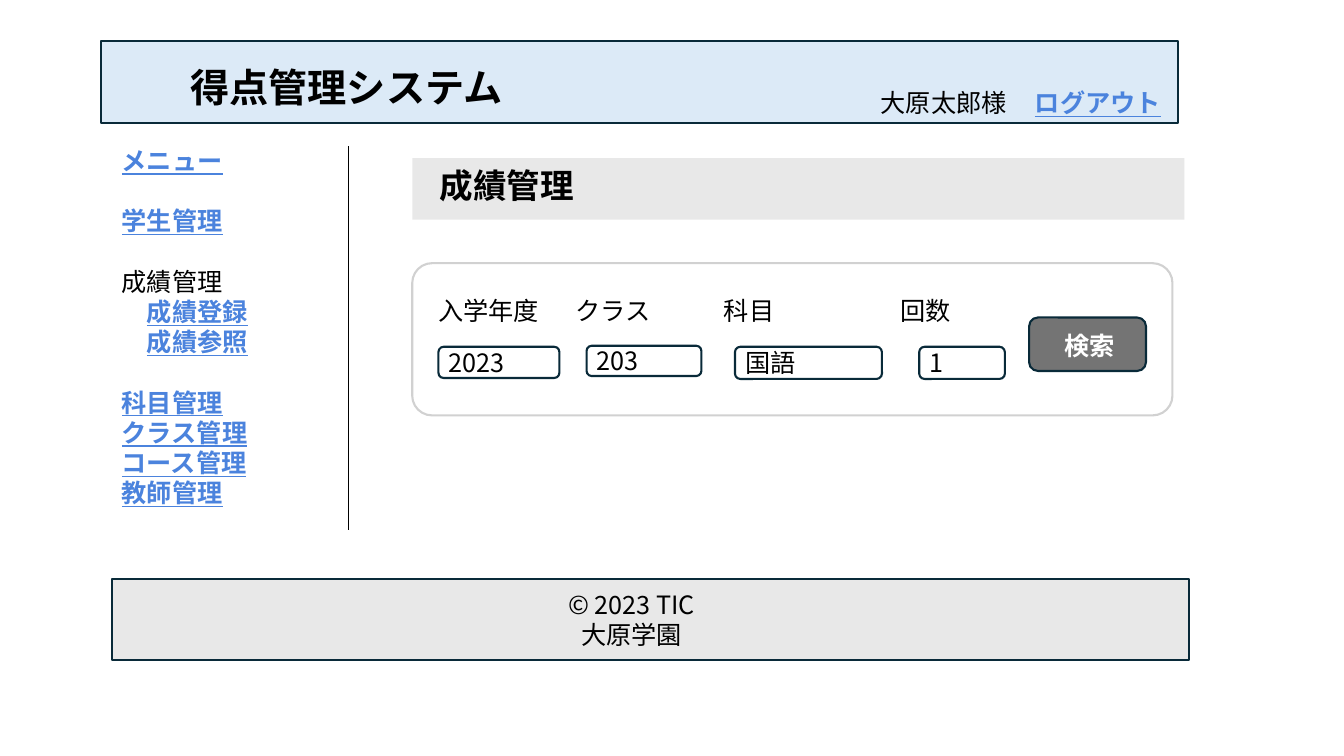
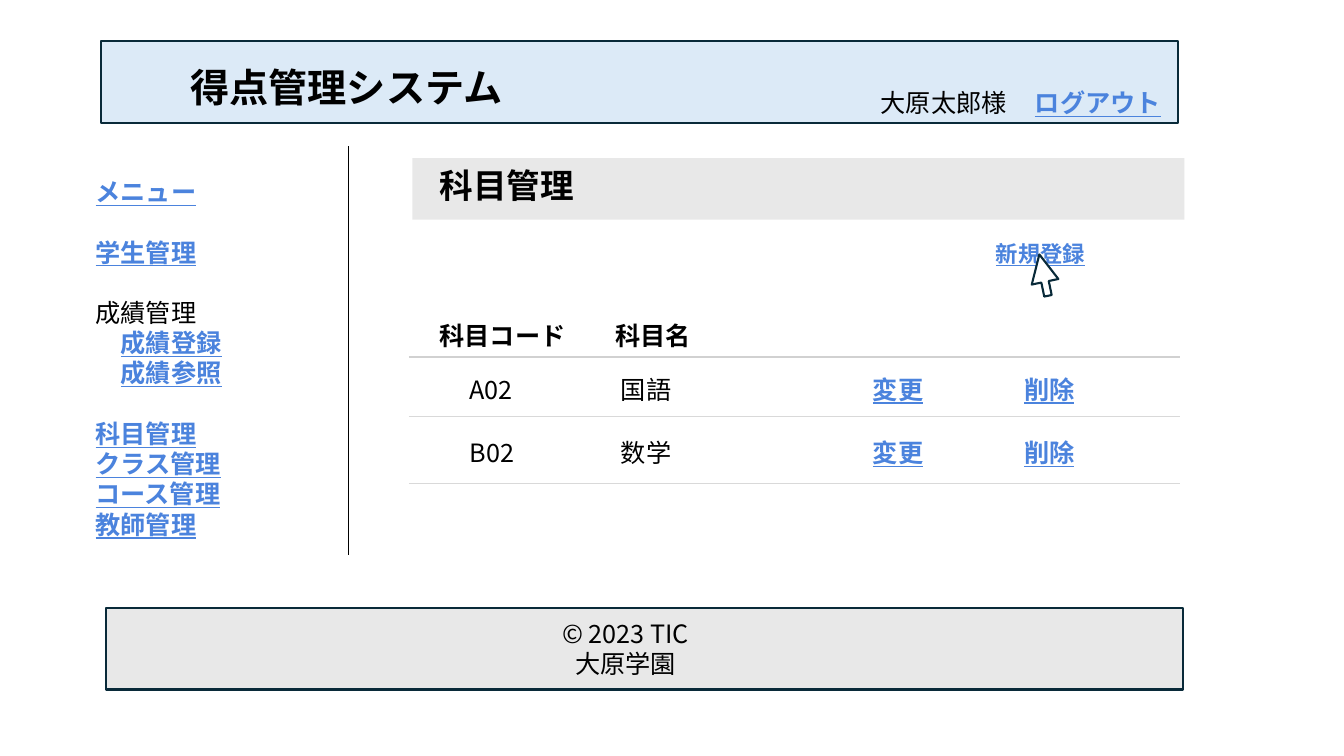
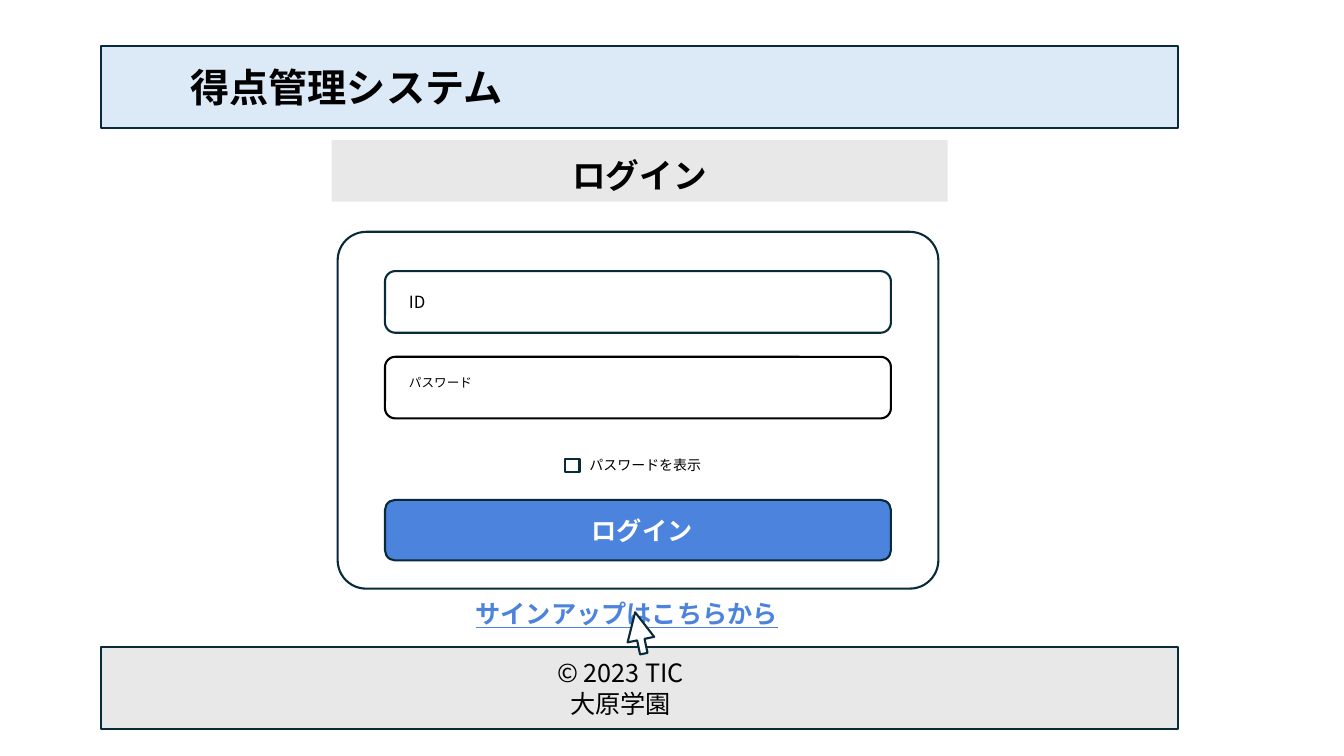
from lxml import etree
from pptx import Presentation
from pptx.dml.color import RGBColor
from pptx.enum.shapes import MSO_CONNECTOR, MSO_SHAPE
from pptx.enum.text import MSO_ANCHOR, MSO_AUTO_SIZE, PP_ALIGN
from pptx.oxml.ns import qn
from pptx.util import Pt

RECT, ROUND, CURSOR = MSO_SHAPE.RECTANGLE, MSO_SHAPE.ROUNDED_RECTANGLE, MSO_SHAPE.UP_ARROW
LEFT, CENTER = PP_ALIGN.LEFT, PP_ALIGN.CENTER
TOP, MIDDLE = MSO_ANCHOR.TOP, MSO_ANCHOR.MIDDLE
FONT = "Noto Sans CJK JP"
BLACK, WHITE, NAVY, BLUE = "000000", "FFFFFF", "092A39", "4B83DD"
SKY, SILVER, GRAY, FRAME, RULE = "DCEAF7", "E8E8E8", "747474", "D1D1D1", "D9D9D9"
NO_STYLE = "{2D5ABB26-0587-4C30-8999-92F81FD0307C}"
LINK = {"color": BLUE, "bold": True, "underline": True}

SYSTEM = "得点管理システム"
USER, LOGOUT = "大原太郎様", "ログアウト"
COPYRIGHT = "© 2023 TIC\n大原学園"
MENU = [["メニュー"], ["学生管理"], ["成績管理", "成績登録", "成績参照"],
        ["科目管理", "クラス管理", "コース管理", "教師管理"]]
MENU_HEADING, SUBMENU = "成績管理", ("成績登録", "成績参照")
LINE_HEIGHT = 21.6

SEARCH_FIELDS = [
    ("入学年度", 306, "2023", (313.2, 247.7, 86.4, 22.3)),
    ("クラス", 404, "203", (419, 247, 82, 21.6)),
    ("科目", 510, "国語", (525, 247.7, 105, 23)),
    ("回数", 636, "1", (656.6, 247.7, 61.2, 23)),
]
SUBJECT_COLUMNS = [("科目コード", 140, 22, 43.5), ("科目名", 184, 7.5, 11.5),
                   ("", 108, 7.5, 7.5), ("", 119, 7.5, 7.5)]
SUBJECTS = [("A02", "国語", "変更", "削除"), ("B02", "数学", "変更", "削除")]
SUBJECT_HEIGHTS = [32, 42.5, 48.1]
LOGIN_FIELDS = [("ID", 193.7, 12, NAVY, 0), ("パスワード", 254.9, 9, BLACK, 7.2)]


def rgb(value):
    return RGBColor.from_string(value)


def style(paragraph, size=18, color=BLACK, bold=False, underline=False):
    for run in paragraph.runs:
        font = run.font
        font.size, font.bold, font.underline = Pt(size), bold, underline
        font.color.rgb = rgb(color)
        font.name = FONT
        etree.SubElement(run._r.get_or_add_rPr(), qn("a:ea"), typeface=FONT)


def write(frame, text, align=LEFT, anchor=MIDDLE, margins=(7.2, 0, 7.2, 0), **look):
    frame.word_wrap = True
    frame.auto_size = MSO_AUTO_SIZE.NONE
    frame.vertical_anchor = anchor
    (frame.margin_left, frame.margin_top,
     frame.margin_right, frame.margin_bottom) = map(Pt, margins)
    frame.text = text
    for paragraph in frame.paragraphs:
        paragraph.alignment = align
        paragraph.line_spacing = 1.0
        style(paragraph, **look)


def label(slide, text, left, top, width, height=28.8, **look):
    box = slide.shapes.add_textbox(Pt(left), Pt(top), Pt(width), Pt(height))
    write(box.text_frame, text, **look)
    return box.text_frame


def block(slide, kind, box, text="", fill=None, line=NAVY, adjust=(), **look):
    shape = slide.shapes.add_shape(kind, *map(Pt, box))
    shape.shadow.inherit = False
    if fill:
        shape.fill.solid()
        shape.fill.fore_color.rgb = rgb(fill)
    else:
        shape.fill.background()
    shape.line.color.rgb = rgb(line)
    shape.line.width = Pt(1.5)
    for index, value in enumerate(adjust):
        shape.adjustments[index] = value
    if text:
        write(shape.text_frame, text, **look)
    return shape


def cursor(slide, left, top):
    arrow = block(slide, CURSOR, (left, top, 19.4, 30.2), fill=WHITE, adjust=(0.28, 1.03))
    arrow.rotation = 348.2


def heading(slide, text, box=(294.5, 113, 551.5, 44), align=LEFT, margins=(19.4, 5, 7.2, 0)):
    title = slide.shapes.title
    title.left, title.top, title.width, title.height = map(Pt, box)
    title.fill.solid()
    title.fill.fore_color.rgb = rgb(SILVER)
    write(title.text_frame, text, align, TOP, margins, size=24, bold=True)


def header_and_footer(slide, header_top, footer_left, footer_top):
    block(slide, RECT, (72, header_top, 769.7, 58.3), SYSTEM, SKY, size=28, bold=True,
          margins=(64, 2 * (33.1 - header_top), 7.2, 0))
    block(slide, RECT, (footer_left, footer_top, 769.7, 58.3), COPYRIGHT, SILVER,
          align=CENTER, margins=(0, 0, 27, 0))


def menu(slide, left, top, divider_bottom):
    label(slide, USER, 622, 59, 104.4)
    label(slide, LOGOUT, 732.2, 59, 104.4, **LINK)
    divider = slide.shapes.add_connector(
        MSO_CONNECTOR.STRAIGHT, Pt(249.1), Pt(104.4), Pt(249.1), Pt(divider_bottom))
    divider.line.color.rgb = rgb(BLACK)
    divider.line.width = Pt(1)
    etree.SubElement(divider._element.spPr, qn("a:effectLst"))

    items = [item for group in MENU for item in group]
    openers = [group[0] for group in MENU[1:]]
    frame = label(slide, "\n".join(items), left, top, 144, 270,
                  anchor=TOP, margins=(7.2, 3.6, 7.2, 3.6), **LINK)
    for item, paragraph in zip(items, frame.paragraphs):
        if item in openers:
            paragraph.space_before = Pt(LINE_HEIGHT)
        if item in SUBMENU:
            paragraph._p.get_or_add_pPr().set("marL", str(Pt(18)))
        if item == MENU_HEADING:
            for run in paragraph.runs:
                run.font.bold = run.font.underline = False
                run.font.color.rgb = rgb(BLACK)


def underline_cell(cell, color):
    border = etree.Element(qn("a:lnB"), w=str(Pt(1)))
    fill = etree.SubElement(border, qn("a:solidFill"))
    etree.SubElement(fill, qn("a:srgbClr"), val=color)
    cell._tc.get_or_add_tcPr().insert(0, border)


def subject_table(slide):
    rows = [[column[0] for column in SUBJECT_COLUMNS]] + SUBJECTS
    widths = [column[1] for column in SUBJECT_COLUMNS]
    table = slide.shapes.add_table(
        len(rows), len(widths), Pt(292), Pt(223), Pt(sum(widths)),
        Pt(sum(SUBJECT_HEIGHTS))).table
    table._tbl.tblPr.find(qn("a:tableStyleId")).text = NO_STYLE
    table.horz_banding = False
    for column, width in zip(table.columns, widths):
        column.width = Pt(width)
    for r, values in enumerate(rows):
        table.rows[r].height = Pt(SUBJECT_HEIGHTS[r])
        for c, value in enumerate(values):
            cell = table.cell(r, c)
            cell.text = value
            cell.vertical_anchor = MIDDLE
            cell.margin_left = Pt(SUBJECT_COLUMNS[c][3 if r else 2])
            cell.margin_top = Pt(2 if r else 0)
            cell.margin_right = cell.margin_bottom = 0
            cell.fill.background()
            underline_cell(cell, RULE if r else FRAME)
            look = LINK if r and c > 1 else {"bold": r == 0}
            style(cell.text_frame.paragraphs[0], **look)


def grade_search(slide):
    heading(slide, "成績管理")
    header_and_footer(slide, 29.5, 79.9, 413.3)
    menu(slide, 79.9, 100, 378.7)
    block(slide, ROUND, (294.5, 188, 543, 108.7), line=FRAME, adjust=(0.13,))
    for name, left, value, box in SEARCH_FIELDS:
        label(slide, name, left, 207.4, 90)
        block(slide, ROUND, box, value, margins=(6.2, 0, 0, 0))
    block(slide, ROUND, (735.1, 226.8, 83.5, 38.2), "検索", GRAY, align=CENTER,
          color=WHITE, bold=True, margins=(2.5, 2, 0, 0))


def subject_list(slide):
    heading(slide, "科目管理")
    header_and_footer(slide, 29.5, 75.6, 434.2)
    menu(slide, 61.2, 122.4, 396.7)
    label(slide, "新規登録", 704.2, 167.8, 108, 26.6, size=16, **LINK)
    subject_table(slide)
    cursor(slide, 735.8, 181.4)


def login(slide):
    heading(slide, "ログイン", (236.9, 100.1, 440, 44), CENTER, (0, 10.8, 0, 0))
    header_and_footer(slide, 33.1, 72, 462.2)
    block(slide, ROUND, (241.2, 165.6, 429.1, 254.9), fill=WHITE, adjust=(0.08,))
    for name, top, size, line, bottom_margin in LOGIN_FIELDS:
        block(slide, ROUND, (275, top, 361.4, 44), name, WHITE, line, size=size,
              margins=(15, 0, 0, bottom_margin))
    block(slide, RECT, (403.9, 327.6, 10.1, 9.4), fill=WHITE)
    label(slide, "パスワードを表示", 414, 322.6, 131.8, 19.4, size=10)
    block(slide, ROUND, (275, 357.1, 361.4, 43.2), "ログイン", BLUE, align=CENTER,
          color=WHITE, bold=True, margins=(6, 0, 0, 0))
    label(slide, "サインアップはこちらから", 332.6, 424.1, 307.4, **LINK)
    cursor(slide, 447.1, 437)


def main():
    deck = Presentation()
    deck.slide_width, deck.slide_height = Pt(960), Pt(540)
    for build in (grade_search, subject_list, login):
        build(deck.slides.add_slide(deck.slide_layouts[5]))
    deck.save("out.pptx")


if __name__ == "__main__":
    main()
